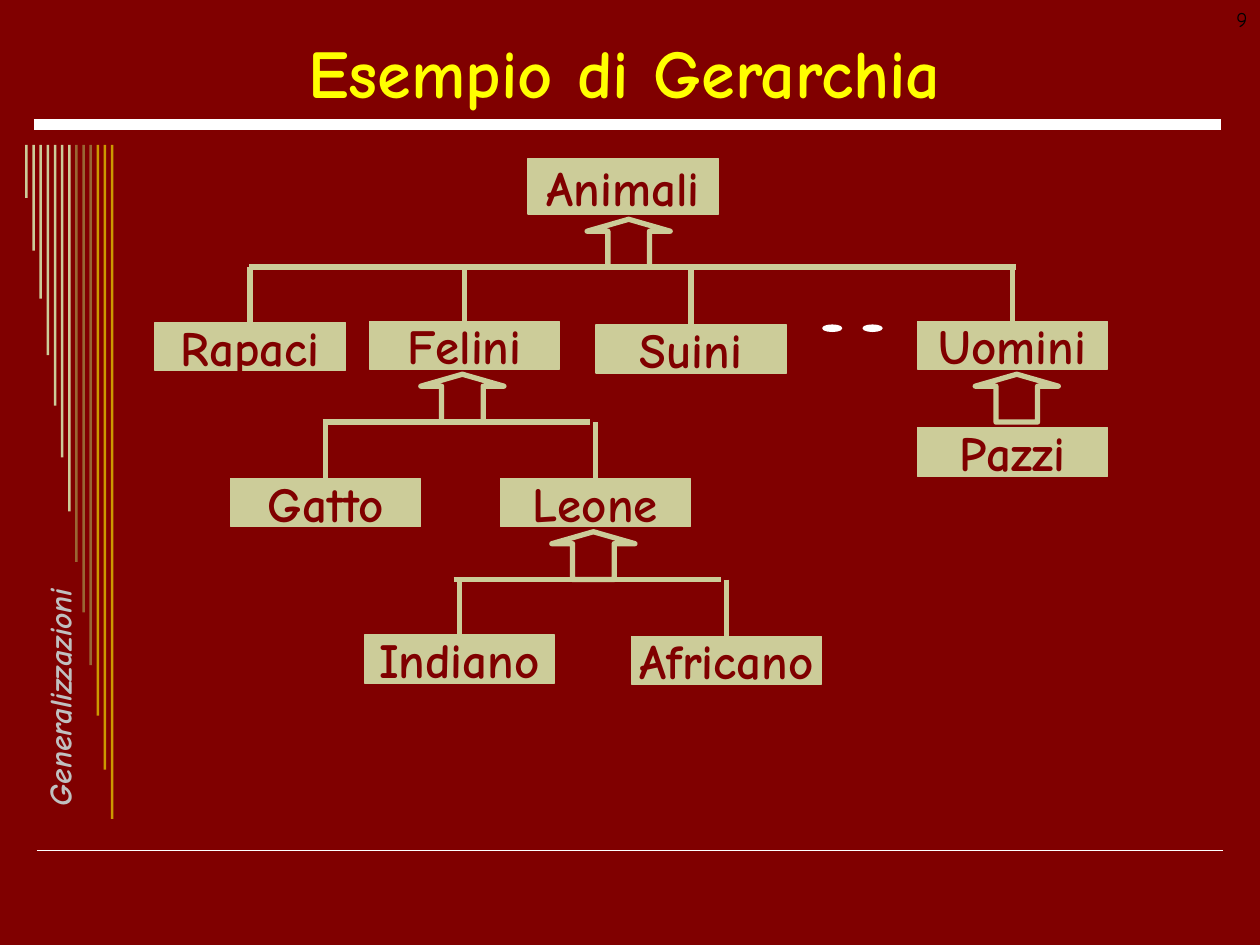
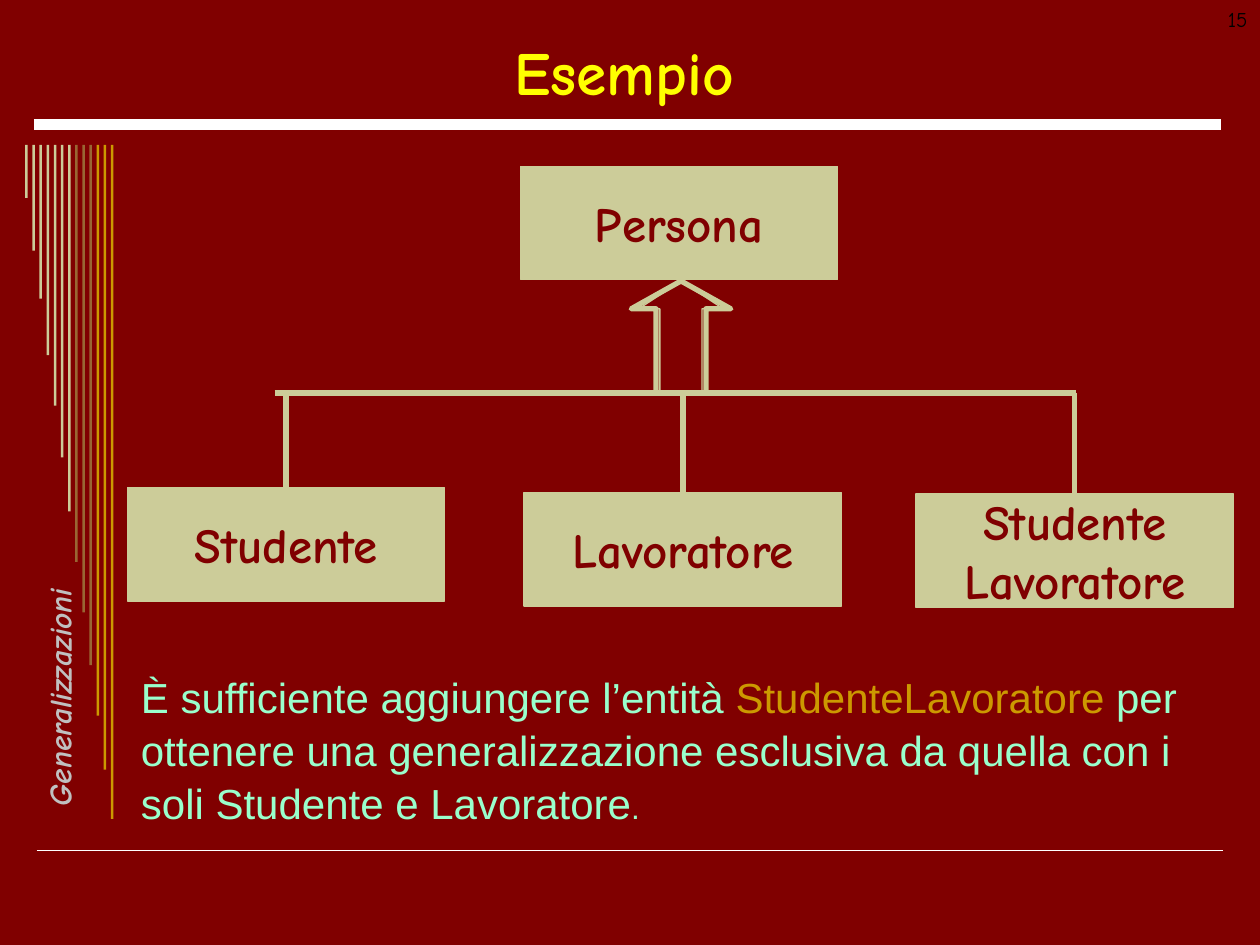
from dataclasses import dataclass

from lxml import etree
from pptx import Presentation
from pptx.dml.color import RGBColor
from pptx.enum.shapes import MSO_CONNECTOR, MSO_SHAPE
from pptx.enum.text import MSO_ANCHOR, PP_ALIGN
from pptx.oxml.ns import qn
from pptx.util import Inches, Pt

RECTANGLE = MSO_SHAPE.RECTANGLE
ELLIPSE = MSO_SHAPE.OVAL
UP_ARROW = MSO_SHAPE.UP_ARROW
STRAIGHT = MSO_CONNECTOR.STRAIGHT
TOP, MIDDLE = MSO_ANCHOR.TOP, MSO_ANCHOR.MIDDLE
LEFT, CENTER, RIGHT = PP_ALIGN.LEFT, PP_ALIGN.CENTER, PP_ALIGN.RIGHT


@dataclass(frozen=True)
class Theme:
    background: str = "800000"
    beige: str = "CCCC99"
    brown: str = "996633"
    gold: str = "CC9900"
    white: str = "FFFFFF"
    black: str = "000000"
    title: str = "FFFF00"
    sidebar: str = "C0C0C0"
    body: str = "99FFCC"
    display_font: str = "Comic Neue"
    body_font: str = "Arial"
    node_size: float = 28
    body_size: float = 24
    small_size: float = 18
    number_size: float = 12
    thin: float = 0.75
    rule: float = 1
    branch: float = 3
    band: float = 6


THEME = Theme()


@dataclass(frozen=True)
class Box:
    left: float
    top: float
    width: float
    height: float

    def inside(self, left, top, width, height):
        return Box(self.left + left, self.top + top, width, height)

    def lengths(self):
        return [Inches(value) for value in (self.left, self.top, self.width, self.height)]


@dataclass(frozen=True)
class Fork:
    parent: str
    arrow: tuple
    bar: tuple
    children: tuple


PAGE = Box(0, 0, 10, 7.5)
STRIPES = Box(0.2, 1.15, 0.7, 5.35)
STRIPE_LENGTHS = [0.42, 0.84, 1.22, 1.67, 2.07, 2.48, 2.91,
                  3.31, 3.71, 4.13, 4.53, 4.96, 5.35]
STRIPE_COLOURS = [THEME.beige] * 7 + [THEME.brown] * 3 + [THEME.gold] * 3

ANIMAL_NODES = {
    "Animali": (2.96, 0, 1.51, 0.44),
    "Rapaci": (0, 1.3, 1.51, 0.38),
    "Felini": (1.7, 1.29, 1.51, 0.38),
    "Suini": (3.5, 1.32, 1.51, 0.38),
    "Uomini": (6.05, 1.29, 1.51, 0.38),
    "Gatto": (0.6, 2.54, 1.51, 0.38),
    "Leone": (2.74, 2.54, 1.51, 0.38),
    "Indiano": (1.66, 3.78, 1.51, 0.38),
    "Africano": (3.78, 3.79, 1.51, 0.38),
    "Pazzi": (6.05, 2.13, 1.51, 0.39),
}
ANIMAL_FORKS = [
    Fork("Animali", (3.43, 0.48, 0.66, 0.38), (0.75, 6.83),
         ("Rapaci", "Felini", "Suini", "Uomini")),
    Fork("Felini", (2.11, 1.71, 0.66, 0.38), (1.33, 3.45), ("Gatto", "Leone")),
    Fork("Leone", (3.15, 2.96, 0.66, 0.38), (2.37, 4.49), ("Indiano", "Africano")),
    Fork("Uomini", (6.51, 1.71, 0.66, 0.38), (), ()),
]
PERSON_NODES = {
    "Persona": (3.12, 0, 2.52, 0.9),
    "Studente": (0, 2.55, 2.52, 0.9),
    "Lavoratore": (3.15, 2.59, 2.52, 0.9),
    "Studente\nLavoratore": (6.26, 2.6, 2.52, 0.9),
}
PERSON_FORK = Fork("Persona", (4, 0.91, 0.79, 0.89), (1.17, 7.53),
                   ("Studente", "Lavoratore", "Studente\nLavoratore"))


def colour(value):
    return RGBColor.from_string(value)


def add_run(paragraph, text, size, fill, font=THEME.display_font, bold=False, italic=False):
    run = paragraph.add_run()
    run.text = text
    run.font.name = font
    run.font.size = Pt(size)
    run.font.bold = bold
    run.font.italic = italic
    run.font.color.rgb = colour(fill)


def prepare_text(shape, alignment, anchor=TOP, wrap=True):
    frame = shape.text_frame
    frame.word_wrap = wrap
    frame.vertical_anchor = anchor
    paragraph = frame.paragraphs[0]
    paragraph.alignment = alignment
    return paragraph


def add_text_box(slide, box, alignment, anchor=TOP, wrap=True):
    shape = slide.shapes.add_textbox(*box.lengths())
    return shape, prepare_text(shape, alignment, anchor, wrap)


def add_shape(shapes, kind, box, fill=None, line=None, width=THEME.thin):
    shape = shapes.add_shape(kind, *box.lengths())
    shape.shadow.inherit = False
    if fill:
        shape.fill.solid()
        shape.fill.fore_color.rgb = colour(fill)
    else:
        shape.fill.background()
    if line:
        shape.line.color.rgb = colour(line)
        shape.line.width = Pt(width)
    else:
        shape.line.fill.background()
    return shape


def add_line(slide, start, end, line, width):
    points = [Inches(value) for value in (*start, *end)]
    connector = slide.shapes.add_connector(STRAIGHT, *points)
    connector.line.color.rgb = colour(line)
    connector.line.width = Pt(width)
    etree.SubElement(connector._element.spPr, qn("a:effectLst"))
    return connector


def add_stripes(slide, box):
    group = slide.shapes.add_group_shape()
    step = (box.width - 0.02) / (len(STRIPE_LENGTHS) - 1)
    for index, (length, fill) in enumerate(zip(STRIPE_LENGTHS, STRIPE_COLOURS)):
        add_shape(group.shapes, RECTANGLE, box.inside(index * step, 0, 0.02, length), fill)


def add_frame(slide, box, title, title_size, number):
    slide.background.fill.solid()
    slide.background.fill.fore_color.rgb = colour(THEME.background)
    for left, top, width in ((0.29, 6.75, THEME.rule), (0.27, 0.99, THEME.band)):
        rule = box.inside(left, top, 9.42, 0)
        add_line(slide, (rule.left, rule.top), (rule.left + rule.width, rule.top),
                 THEME.white, width)
    add_stripes(slide, STRIPES)
    sidebar, paragraph = add_text_box(slide, box.inside(-0.75, 5.24, 2.28, 0.24), LEFT, wrap=False)
    sidebar.rotation = 270
    add_run(paragraph, "Generalizzazioni", THEME.small_size, THEME.sidebar, bold=True, italic=True)
    _, paragraph = add_text_box(slide, box.inside(0.35, 0.21, 9.21, 0.71), CENTER, MIDDLE)
    add_run(paragraph, title, title_size, THEME.title, bold=True)
    _, paragraph = add_text_box(slide, box.inside(7.67, 0, 2.33, 0.5), RIGHT)
    add_run(paragraph, number, THEME.number_size, THEME.black)


def add_node(slide, box, label):
    shape = add_shape(slide.shapes, RECTANGLE, box, THEME.beige, THEME.beige)
    paragraph = prepare_text(shape, CENTER, MIDDLE, wrap=False)
    for index, line in enumerate(label.split("\n")):
        if index:
            paragraph.add_line_break()
        add_run(paragraph, line, THEME.node_size, THEME.background, bold=True)
    return shape


def add_arrow(slide, box, head=0.25, width=THEME.branch):
    arrow = add_shape(slide.shapes, UP_ARROW, box, line=THEME.beige, width=width)
    arrow.adjustments[0] = 0.5
    arrow.adjustments[1] = head


def add_fork(slide, box, fork, nodes, shapes, head=0.25):
    arrow = box.inside(*fork.arrow)
    add_arrow(slide, arrow, head)
    bar_top = arrow.top + arrow.height
    if fork.bar:
        start, end = (box.left + offset for offset in fork.bar)
        add_line(slide, (start, bar_top), (end, bar_top), THEME.beige, THEME.branch)
    for child in fork.children:
        node = box.inside(*nodes[child])
        middle = node.left + node.width / 2
        stem = add_line(slide, (middle, bar_top), (middle, node.top), THEME.beige, THEME.branch)
        stem.end_connect(shapes[child], 0)


def add_hierarchy(slide, box, nodes, forks, head=0.25):
    shapes = {label: add_node(slide, box.inside(*place), label) for label, place in nodes.items()}
    for fork in forks:
        add_fork(slide, box, fork, nodes, shapes, head)


def add_ellipsis(slide, box):
    for index in range(2):
        dot = box.inside(index * 0.32, 0, 0.15, box.height)
        add_shape(slide.shapes, ELLIPSE, dot, THEME.white, THEME.white)


def add_explanation(slide, box):
    _, paragraph = add_text_box(slide, box, LEFT)
    paragraph.line_spacing = 1.05
    for text, size, fill in (
        ("È sufficiente aggiungere l’entità ", THEME.body_size, THEME.body),
        ("StudenteLavoratore", THEME.body_size, THEME.gold),
        (" per ottenere una generalizzazione esclusiva da quella con i soli "
         "Studente e Lavoratore", THEME.body_size, THEME.body),
        (".", THEME.small_size, THEME.body),
    ):
        add_run(paragraph, text, size, fill, THEME.body_font)


def build_animals(slide):
    add_frame(slide, PAGE, "Esempio di Gerarchia", 39, "9")
    diagram = Box(1.23, 1.26, 7.56, 4.17)
    add_hierarchy(slide, diagram, ANIMAL_NODES, ANIMAL_FORKS)
    add_ellipsis(slide, diagram.inside(5.3, 1.32, 0.47, 0.05))


def build_people(slide):
    add_frame(slide, PAGE, "Esempio", 35, "15")
    diagram = Box(1.01, 1.32, 8.78, 3.5)
    add_arrow(slide, diagram.inside(4.06, 0.91, 0.67, 0.89), 0.33, THEME.thin)
    add_hierarchy(slide, diagram, PERSON_NODES, [PERSON_FORK], 0.28)
    add_explanation(slide, Box(1.02, 5.26, 8.71, 1.3))


def main():
    presentation = Presentation()
    presentation.slide_width = Inches(PAGE.width)
    presentation.slide_height = Inches(PAGE.height)
    blank = presentation.slide_layouts[6]
    for build in (build_animals, build_people):
        build(presentation.slides.add_slide(blank))
    presentation.save("out.pptx")


if __name__ == "__main__":
    main()
